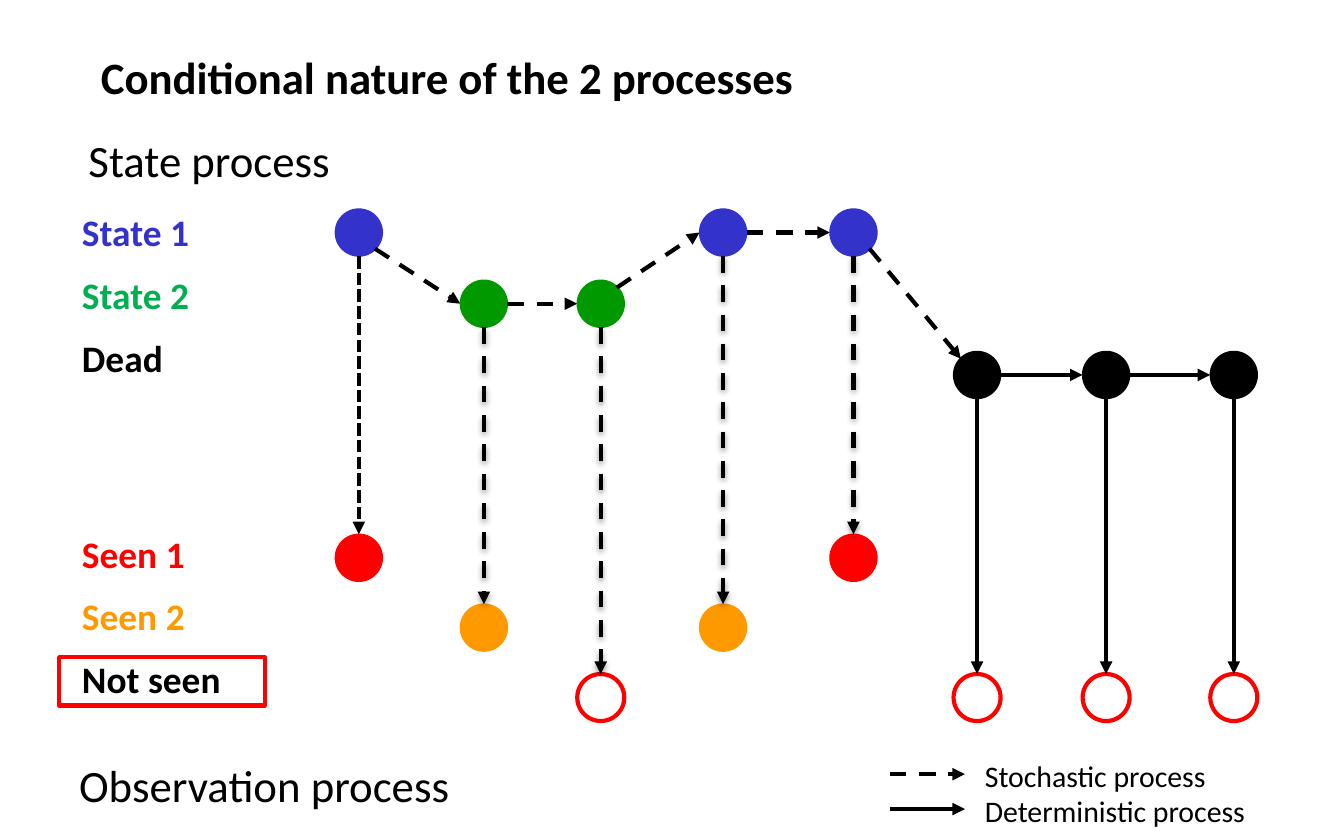
from dataclasses import dataclass

from lxml.etree import SubElement
from pptx import Presentation
from pptx.dml.color import RGBColor
from pptx.enum.dml import MSO_LINE
from pptx.enum.shapes import MSO_CONNECTOR, MSO_SHAPE
from pptx.enum.text import MSO_ANCHOR, MSO_AUTO_SIZE, PP_ALIGN
from pptx.oxml.ns import qn
from pptx.util import Inches, Pt


@dataclass(frozen=True)
class Theme:
    font: str = "Calibri"
    heading: int = 24
    label: int = 20
    legend: int = 16
    gap: float = 9.5
    thin: float = 0.75
    thick: float = 2.25
    black: str = "000000"
    blue: str = "3333CC"
    green: str = "009900"
    green_text: str = "00B050"
    red: str = "FF0000"
    orange: str = "FF9900"


T = Theme()


def write(shape, lines, box, size, bold=False, gap=0):
    """Place shape at box and fill it with (text, colour) paragraphs."""
    shape.left, shape.top, shape.width, shape.height = map(Inches, box)
    tf = shape.text_frame
    tf.word_wrap = False
    tf.auto_size = MSO_AUTO_SIZE.NONE
    tf.vertical_anchor = MSO_ANCHOR.TOP
    for i, (text, colour) in enumerate(lines):
        p = tf.add_paragraph() if i else tf.paragraphs[0]
        p.alignment = PP_ALIGN.LEFT
        p.space_before = Pt(gap if i else 0)
        pPr = p._p.get_or_add_pPr()
        pPr.set("marL", "0")
        pPr.set("indent", "0")
        SubElement(pPr, qn("a:buNone"))
        r = p.add_run()
        r.text = text
        r.font.name, r.font.size, r.font.bold = T.font, Pt(size), bold
        r.font.color.rgb = RGBColor.from_string(colour)


def arrow(start, end, dash=None, shadow=False):
    c = s.shapes.add_connector(MSO_CONNECTOR.STRAIGHT, *map(Inches, start + end))
    c.line.color.rgb = RGBColor.from_string(T.black)
    c.line.width = Pt(T.thick)
    if dash:
        c.line.dash_style = dash
    spPr = c._element.spPr
    SubElement(spPr.find(qn("a:ln")), qn("a:tailEnd"), type="triangle")
    effects = SubElement(spPr, qn("a:effectLst"))
    if shadow:
        outer = SubElement(effects, qn("a:outerShdw"), blurRad="40000",
                           dist="20000", dir="5400000", rotWithShape="0")
        colour = SubElement(outer, qn("a:srgbClr"), val=T.black)
        SubElement(colour, qn("a:alpha"), val="38000")


prs = Presentation()
prs.slide_width, prs.slide_height = Inches(10), Inches(6.25)
s = prs.slides.add_slide(prs.slide_layouts[3])
title, state_list, seen_list = list(s.placeholders)[:3]

# Title, row labels and section headings
write(title, [("Conditional nature of the 2 processes", T.black)],
      (0.65, 0.32, 5.41, 0.5), T.heading, bold=True)
write(state_list, [("State 1", T.blue), ("State 2", T.green_text), ("Dead", T.black)],
      (0.51, 1.51, 1, 1.38), T.label, bold=True, gap=T.gap)
write(seen_list, [("Seen 1", T.red), ("Seen 2", T.orange), ("Not seen", T.black)],
      (0.51, 3.9, 1.24, 1.38), T.label, bold=True, gap=T.gap)
for text, box in [("State process", (0.56, 0.94, 2.01, 0.5)),
                  ("Observation process", (0.49, 5.59, 2.98, 0.5))]:
    write(s.shapes.add_textbox(0, 0, 0, 0), [(text, T.black)], box, T.heading)

frame = s.shapes.add_shape(MSO_SHAPE.RECTANGLE, *map(Inches, (0.44, 4.89, 1.53, 0.36)))
frame.shadow.inherit = False
frame.fill.background()
frame.line.color.rgb = RGBColor.from_string(T.red)
frame.line.width = Pt(T.thick)

# Grid: one column per occasion, three state rows and three observation rows
COLS = [2.67, 3.6, 4.47, 5.38, 6.35, 7.27, 8.23, 9.18]
STATE_ROWS = [1.73 + 0.53 * i for i in range(3)]
SEEN_ROWS = [4.15 + 0.52 * i for i in range(3)]
STATE_COLOURS = [T.blue, T.green, T.black]
SEEN_COLOURS = [T.red, T.orange, None]
STATES = [0, 1, 1, 0, 0, 2, 2, 2]
SEEN = [0, 1, 2, 1, 0, 2, 2, 2]
DEAD = 2
D = 0.35
R = D / 2
DIAG = 0.12

for i, (x, state, seen) in enumerate(zip(COLS, STATES, SEEN)):
    y, y_seen = STATE_ROWS[state], SEEN_ROWS[seen]
    for cy, colour in [(y, STATE_COLOURS[state]), (y_seen, SEEN_COLOURS[seen])]:
        dot = s.shapes.add_shape(MSO_SHAPE.OVAL, *map(Inches, (x - R, cy - R, D, D)))
        dot.shadow.inherit = False
        if colour:
            dot.fill.solid()
            dot.fill.fore_color.rgb = RGBColor.from_string(colour)
        else:
            dot.fill.background()
        dot.line.color.rgb = RGBColor.from_string(colour or T.red)
        dot.line.width = Pt(T.thin if colour else T.thick)

    # Observation: the first one is finely dashed, death is deterministic
    dash = None if state == DEAD else MSO_LINE.DASH if i else MSO_LINE.SQUARE_DOT
    arrow((x, y + R), (x, y_seen - R), dash, shadow=dash == MSO_LINE.DASH)

    # Transition to the next occasion
    if i + 1 < len(COLS):
        step = STATES[i + 1] - state
        x_next, y_next = COLS[i + 1], STATE_ROWS[STATES[i + 1]]
        sign = (step > 0) - (step < 0)
        start = (x + (DIAG if step else R), y + sign * DIAG)
        end = (x_next - DIAG, y_next - DIAG) if step == 2 else (x_next - R, y_next)
        arrow(start, end, None if state == DEAD else MSO_LINE.DASH)

# Legend
for i, (text, width, dash) in enumerate([("Stochastic process", 1.87, MSO_LINE.DASH),
                                         ("Deterministic process", 2.16, None)]):
    y = 5.76 + 0.26 * i
    arrow((6.62, y), (7.18, y), dash)
    write(s.shapes.add_textbox(0, 0, 0, 0), [(text, T.black)],
          (7.23, y - 0.17, width, 0.37), T.legend)

prs.save("out.pptx")
